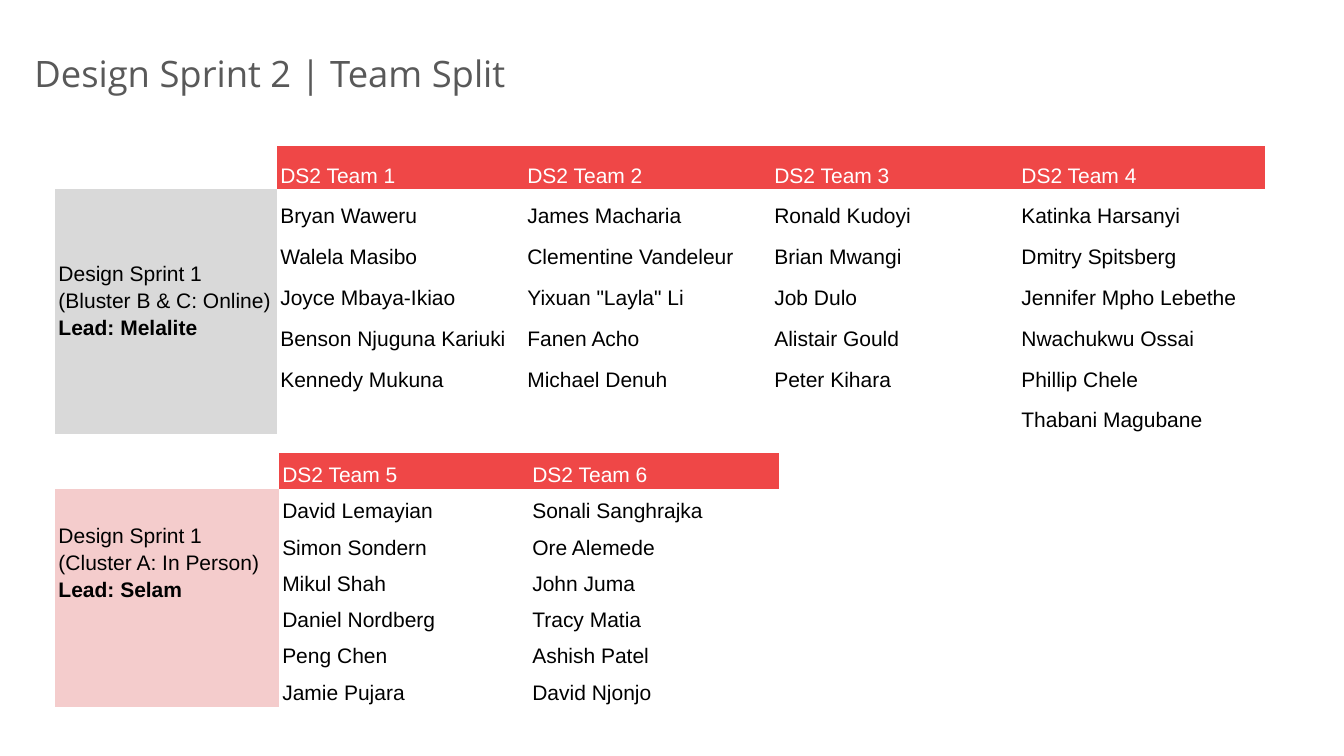
import pptx
import pptx.dml.color
import pptx.enum.text
import pptx.util
from pptx.util import Inches

RED, GREY, PINK = "EF4747", "D9D9D9", "F4CCCC"
BLACK, WHITE, TITLE_GREY = "000000", "FFFFFF", "595959"
NO_STYLE_NO_GRID = "{2D5ABB26-0587-4C30-8999-92F81FD0307C}"
MIDDLE = pptx.enum.text.MSO_ANCHOR.MIDDLE
BOTTOM = pptx.enum.text.MSO_ANCHOR.BOTTOM
TEAM_COLUMNS = 4

ONLINE_TEAMS = {
    "DS2 Team 1": ["Bryan Waweru", "Walela Masibo", "Joyce Mbaya-Ikiao",
                   "Benson Njuguna Kariuki", "Kennedy Mukuna"],
    "DS2 Team 2": ["James Macharia", "Clementine Vandeleur", 'Yixuan "Layla" Li',
                   "Fanen Acho", "Michael Denuh"],
    "DS2 Team 3": ["Ronald Kudoyi", "Brian Mwangi", "Job Dulo",
                   "Alistair Gould", "Peter Kihara"],
    "DS2 Team 4": ["Katinka Harsanyi", "Dmitry Spitsberg", "Jennifer Mpho Lebethe",
                   "Nwachukwu Ossai", "Phillip Chele", "Thabani Magubane"],
}
IN_PERSON_TEAMS = {
    "DS2 Team 5": ["David Lemayian", "Simon Sondern", "Mikul Shah",
                   "Daniel Nordberg", "Peng Chen", "Jamie Pujara"],
    "DS2 Team 6": ["Sonali Sanghrajka", "Ore Alemede", "John Juma",
                   "Tracy Matia", "Ashish Patel", "David Njonjo"],
}


def color(hex_string):
    return pptx.dml.color.RGBColor.from_string(hex_string)


def set_font(paragraph, name, size, hex_string, bold=False):
    font = paragraph.font
    font.name, font.size, font.bold = name, pptx.util.Pt(size), bold
    font.color.rgb = color(hex_string)


def add_title(slide, text):
    shape = slide.shapes.add_textbox(Inches(0.34), Inches(0.52), Inches(12.13), Inches(0.4))
    frame = shape.text_frame
    frame.word_wrap = True
    frame.vertical_anchor = MIDDLE
    frame.margin_left = frame.margin_right = frame.margin_top = frame.margin_bottom = 0
    frame.text = text
    set_font(frame.paragraphs[0], "Open Sans", 26, TITLE_GREY)


def fill_cell(cell, hex_string):
    cell.fill.solid()
    cell.fill.fore_color.rgb = color(hex_string)


def write_cell(cell, lines, hex_string=BLACK, anchor=BOTTOM, bold_last=False):
    cell.text = "\n".join(lines)
    cell.vertical_anchor = anchor
    for paragraph in cell.text_frame.paragraphs:
        paragraph.line_spacing = 1.15
        set_font(paragraph, "Arial", 15, hex_string)
    paragraph.font.bold = bold_last


def add_team_table(slide, top, widths, header_height, row_height, teams,
                   lead_lines, lead_fill, lead_span, lead_bottom=0.02, spare_rows=0):
    """Lead block on the left, one column for each team on the right."""
    lead_width, team_width = widths
    members = max(map(len, teams.values()))
    body_rows = members + spare_rows
    frame = slide.shapes.add_table(
        body_rows + 1, TEAM_COLUMNS + 1, Inches(0.55), Inches(top),
        Inches(lead_width + team_width * TEAM_COLUMNS),
        Inches(header_height + row_height * body_rows))
    table = frame.table
    table.first_row = table.horz_banding = False
    for style in frame._element.xpath(".//a:tableStyleId"):
        style.text = NO_STYLE_NO_GRID

    # Column widths, row heights and cell margins
    for index, column in enumerate(table.columns):
        column.width = Inches(team_width if index else lead_width)
    for index, row in enumerate(table.rows):
        row.height = Inches(row_height if index else header_height)
    for cell in table.iter_cells():
        cell.margin_left = cell.margin_right = Inches(0.03)
        cell.margin_top = cell.margin_bottom = Inches(0.02)
        cell.fill.background()

    # Lead block
    for row in range(1, members + 1):
        fill_cell(table.cell(row, 0), lead_fill)
    lead = table.cell(1, 0)
    lead.merge(table.cell(lead_span, 0))
    lead.margin_bottom = Inches(lead_bottom)
    write_cell(lead, lead_lines, anchor=MIDDLE, bold_last=True)

    # Team columns
    for column, (team, names) in enumerate(teams.items(), 1):
        header = table.cell(0, column)
        fill_cell(header, RED)
        write_cell(header, [team], WHITE)
        for row, name in enumerate(names, 1):
            write_cell(table.cell(row, column), [name])


def main():
    presentation = pptx.Presentation()
    presentation.slide_width, presentation.slide_height = Inches(13.33), Inches(7.5)
    slide = presentation.slides.add_slide(presentation.slide_layouts[6])

    add_title(slide, "Design Sprint 2 | Team Split")
    add_team_table(slide, 4.49, (2.22, 2.48), 0.36, 0.36, IN_PERSON_TEAMS,
                   ["Design Sprint 1", "(Cluster A: In Person)", "Lead: Selam"],
                   PINK, lead_span=4, spare_rows=1)
    add_team_table(slide, 1.45, (2.2, 2.45), 0.43, 2.43 / 6, ONLINE_TEAMS,
                   ["Design Sprint 1", "(Bluster B & C: Online)", "Lead: Melalite"],
                   GREY, lead_span=6, lead_bottom=0.27)

    presentation.save("out.pptx")


if __name__ == "__main__":
    main()
